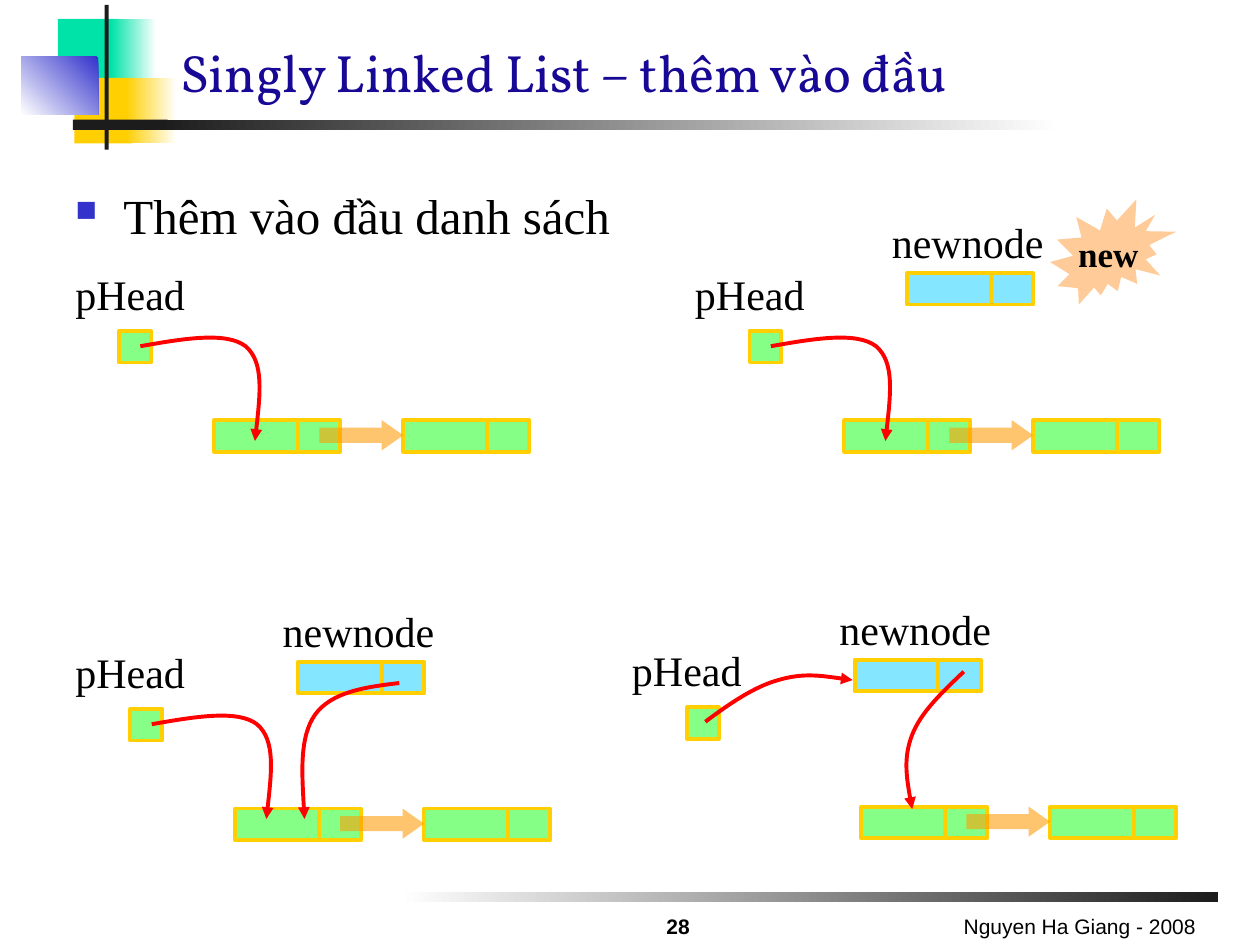
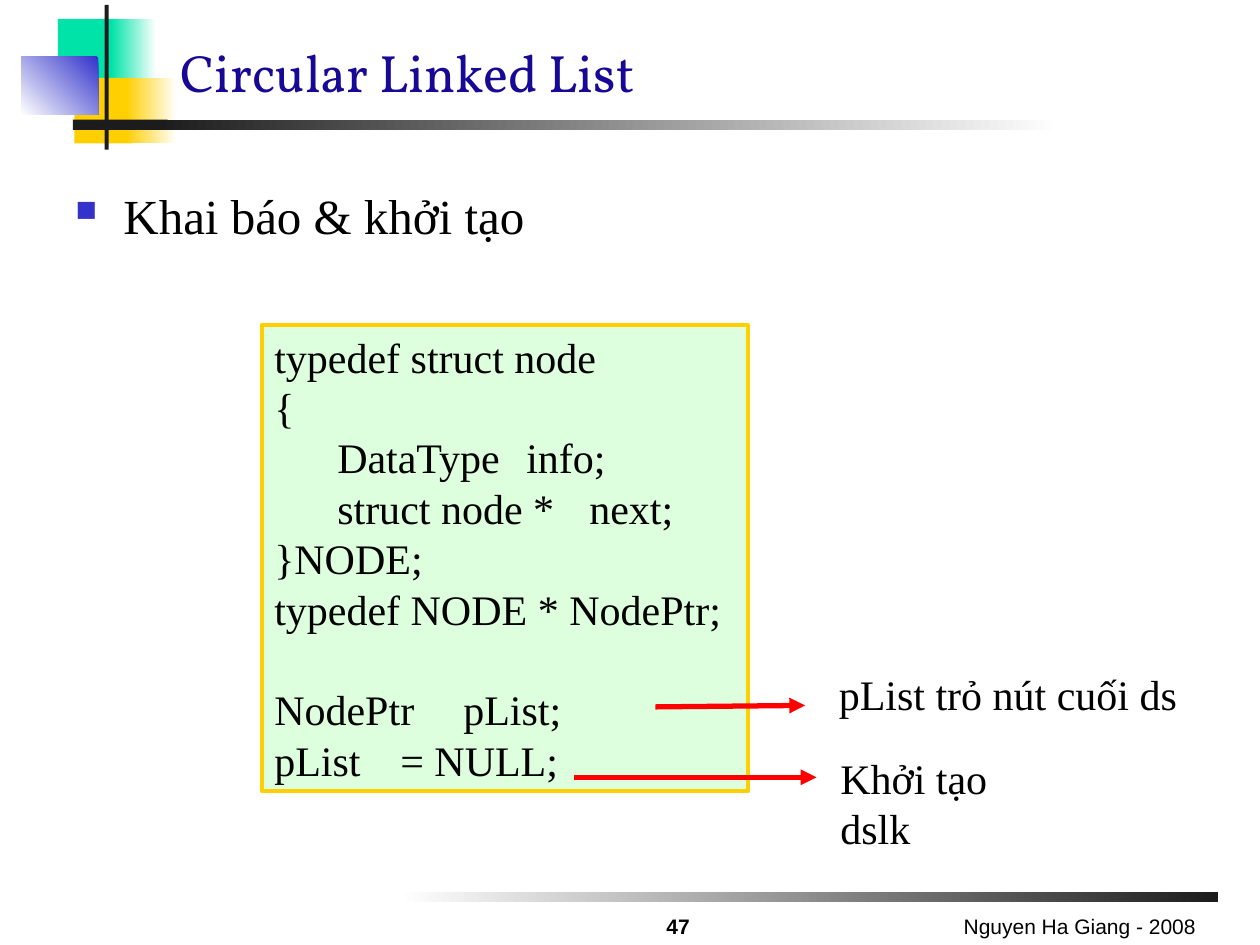
from itertools import pairwise
from pptx import Presentation
from pptx.dml.color import RGBColor
from pptx.enum.shapes import MSO_CONNECTOR, MSO_SHAPE
from pptx.enum.text import MSO_ANCHOR, MSO_AUTO_SIZE, PP_ALIGN
from pptx.oxml.ns import qn
from pptx.util import Cm, Pt
from lxml import etree

RECTANGLE = MSO_SHAPE.RECTANGLE
RIGHT_ARROW = MSO_SHAPE.RIGHT_ARROW
BURST = MSO_SHAPE.EXPLOSION2
STRAIGHT = MSO_CONNECTOR.STRAIGHT
TOP, MIDDLE, BOTTOM = MSO_ANCHOR.TOP, MSO_ANCHOR.MIDDLE, MSO_ANCHOR.BOTTOM
LEFT, CENTER, RIGHT = PP_ALIGN.LEFT, PP_ALIGN.CENTER, PP_ALIGN.RIGHT
FIT_SHAPE = MSO_AUTO_SIZE.SHAPE_TO_FIT_TEXT

BLACK = RGBColor(0x00, 0x00, 0x00)
WHITE = RGBColor(0xFF, 0xFF, 0xFF)
CHARCOAL = RGBColor(0x1C, 0x1C, 0x1C)
TEAL = RGBColor(0x00, 0xE3, 0xA8)
GOLD = RGBColor(0xFF, 0xCF, 0x01)
BLUE = RGBColor(0x33, 0x33, 0xCC)
NAVY = RGBColor(0x17, 0x09, 0x95)
GREEN = RGBColor(0x00, 0xFF, 0x00)
SKY = RGBColor(0x00, 0xCC, 0xFF)
ORANGE = RGBColor(0xFF, 0x99, 0x00)
PEACH = RGBColor(0xFF, 0xCC, 0x99)
MINT = RGBColor(0xCC, 0xFF, 0xCC)
RED = RGBColor(0xFF, 0x00, 0x00)

SERIF, SANS, TITLE_FONT = "Times New Roman", "Arial", "Vollkorn"
FOOTER = "Nguyen Ha Giang - 2008"

DECORATION = [
    ((8.05, 17.98, 16.51, 0.21), (WHITE, CHARCOAL), 0),
    ((1.17, 0.38, 1.22, 1.32), (TEAL,), 0),
    ((2.24, 0.38, 0.91, 1.32), (TEAL, WHITE), 0),
    ((1.5, 1.57, 1.17, 1.32), (GOLD,), 0),
    ((2.54, 1.57, 1.02, 1.32), (GOLD, WHITE), 0),
    ((0.43, 1.14, 1.55, 1.17), (BLUE, WHITE), 225),
    ((2.11, 0.1, 0.08, 2.92), (CHARCOAL,), 0),
    ((1.47, 2.41, 1.91, 0.21), (CHARCOAL,), 0),
    ((3.18, 2.41, 18.19, 0.21), (CHARCOAL, WHITE), 0),
]

DATA_WIDTH, LINK_WIDTH, NODE_HEIGHT = 1.69, 0.85, 0.64
NODE_STEP = 3.81
NEXT_ARROW_OFFSET, NEXT_ARROW_HEIGHT = 2.12, 0.61

HEAD_TO_FIRST = [(0.43, 0.31), (0.86, -0.15), (1.73, -0.3), (2.12, 0),
                 (2.5, 0.32), (2.4, 1.11), (2.31, 1.91)]
HEAD_TO_NEW = [(0.37, 0.29), (0.48, -0.36), (0.99, -0.71), (1.47, -0.84),
               (1.98, -0.99), (2.46, -0.91), (2.97, -0.84)]
NEW_TO_FIRST = [(2.04, 0.43), (-0.69, 0.08), (-1.37, 0.18), (-1.7, 0.64),
                (-2.01, 1.09), (-1.96, 1.91), (-1.91, 2.74)]
NEW_TO_FIRST_SHORT = [(2.2, 0.24), (-0.43, 0.41), (-0.86, 0.81), (-1.04, 1.27),
                      (-1.22, 1.73), (-1.14, 2.26), (-1.04, 2.77)]

SCENES = [
    dict(chain=(4.32, 8.47), head=(2.4, 6.67), label=(1.27, 5.29),
         head_curve=HEAD_TO_FIRST),
    dict(chain=(17.02, 8.47), head=(15.11, 6.67), label=(13.76, 5.29),
         head_curve=HEAD_TO_FIRST, new=(18.29, 5.5)),
    dict(chain=(4.74, 16.3), head=(2.63, 14.29), label=(1.27, 12.91),
         head_curve=HEAD_TO_FIRST, new=(6.01, 13.34), new_curve=NEW_TO_FIRST),
    dict(chain=(17.36, 16.26), head=(13.85, 14.26), label=(12.49, 12.87),
         head_curve=HEAD_TO_NEW, new=(17.23, 13.3), new_curve=NEW_TO_FIRST_SHORT),
]
BURST_BOX = (21.17, 4.02, 2.54, 2.12)

CODE_BOX = (5.28, 6.55, 9.8, 9.4)
CODE_BLOCKS = [
    """typedef struct node
{
\tDataType \tinfo;
\tstruct node * \tnext;
}NODE;
typedef NODE * NodePtr;""",
    """NodePtr \tpList;
pList\t= NULL;""",
]
CODE_LINE = 28.8
CODE_NOTES = [
    ("pList trỏ nút cuối ds", (16.66, 13.36, 7.32, 1.27), (13.21, 14.25, 16.23, 14.22)),
    ("Khởi tạo dslk", (16.69, 15.04, 5.05, 1.27), (11.58, 15.67, 16.46, 15.67)),
]


def lengths(values):
    return [Cm(value) for value in values]


def add_figure(slide, kind, box, colors, angle=0, opacity=100, outlined=False):
    shape = slide.shapes.add_shape(kind, *lengths(box))
    shape.shadow.inherit = False
    if len(colors) == 1:
        shape.fill.solid()
        shape.fill.fore_color.rgb = colors[0]
    else:
        shape.fill.gradient()
        shape.fill.gradient_angle = angle
        for stop, color in zip(shape.fill.gradient_stops, colors):
            stop.color.rgb = color
    if opacity < 100:
        color = shape.element.spPr.find(".//" + qn("a:srgbClr"))
        etree.SubElement(color, qn("a:alpha"), val=str(opacity * 1000))
    if outlined:
        shape.line.color.rgb = GOLD
        shape.line.width = Pt(2.25)
    else:
        shape.line.fill.background()
    return shape


def write(shape, text, size=24, font=SERIF, color=BLACK, bold=False,
          align=LEFT, anchor=TOP, wrap=True):
    frame = shape.text_frame
    frame.text = text
    frame.word_wrap = wrap
    frame.vertical_anchor = anchor
    for paragraph in frame.paragraphs:
        paragraph.alignment = align
        for run in paragraph.runs:
            run.font.size = Pt(size)
            run.font.name = font
            run.font.bold = bold
            run.font.color.rgb = color
    return frame


def add_text(slide, box, text, **style):
    return write(slide.shapes.add_textbox(*lengths(box)), text, **style)


def add_bullet(paragraph):
    properties = paragraph._p.get_or_add_pPr()
    properties.set("marL", str(Cm(0.97)))
    properties.set("indent", str(-Cm(0.97)))
    color = etree.SubElement(properties, qn("a:buClr"))
    etree.SubElement(color, qn("a:srgbClr"), val=str(BLUE))
    etree.SubElement(properties, qn("a:buSzPct"), val="60000")
    etree.SubElement(properties, qn("a:buChar"), char="■")


def make_red_arrow(shape, width):
    shape.line.color.rgb = RED
    shape.line.width = Pt(width)
    line = shape.element.spPr.find(qn("a:ln"))
    etree.SubElement(line, qn("a:tailEnd"), type="triangle")


def add_curve(slide, origin, curve):
    offset, *steps = curve
    start_x, start_y = origin[0] + offset[0], origin[1] + offset[1]
    builder = slide.shapes.build_freeform(Cm(start_x), Cm(start_y))
    builder.add_line_segments(
        [(Cm(start_x + x), Cm(start_y + y)) for x, y in steps], close=False)
    shape = builder.convert_to_shape()
    shape.shadow.inherit = False
    shape.fill.background()
    outline = next(shape.element.iter(qn("a:path")))
    segments = outline.findall(qn("a:lnTo"))
    for first in range(0, len(segments), 3):
        bezier = etree.SubElement(outline, qn("a:cubicBezTo"))
        for segment in segments[first:first + 3]:
            bezier.append(segment[0])
            outline.remove(segment)
    make_red_arrow(shape, 2.25)


def add_cell(slide, left, top, width, color):
    add_figure(slide, RECTANGLE, (left, top, width, NODE_HEIGHT), [color],
               opacity=48, outlined=True)


def add_node(slide, left, top, color):
    add_cell(slide, left, top, DATA_WIDTH, color)
    add_cell(slide, left + DATA_WIDTH, top, LINK_WIDTH, color)


def add_scene(slide, chain, head, label, head_curve, new=None, new_curve=None):
    left, top = chain
    nodes = [left, left + NODE_STEP]
    for node_left in nodes:
        add_node(slide, node_left, top, GREEN)
    for node_left, next_left in pairwise(nodes):
        arrow_left = node_left + NEXT_ARROW_OFFSET
        arrow = add_figure(slide, RIGHT_ARROW,
                           (arrow_left, top, next_left - arrow_left, NEXT_ARROW_HEIGHT),
                           [ORANGE], opacity=57)
        arrow.adjustments[1] = 0.71
    add_cell(slide, *head, NODE_HEIGHT, GREEN)
    add_text(slide, (*label, 2.72, 1.27), "pHead", wrap=False)
    if new:
        add_node(slide, *new, SKY)
        add_text(slide, (new[0] - 0.56, new[1] - 1.25, 3.56, 1.27), "newnode", wrap=False)
    add_curve(slide, head, head_curve)
    if new_curve:
        add_curve(slide, new, new_curve)


def add_slide(presentation, title, topic, number):
    slide = presentation.slides.add_slide(presentation.slide_layouts[6])
    for box, colors, angle in DECORATION:
        add_figure(slide, RECTANGLE, box, colors, angle)
    add_text(slide, (3.38, 0.51, 21.59, 1.7), title, size=30, font=TITLE_FONT,
             color=NAVY, anchor=BOTTOM)
    body = add_text(slide, (1.27, 3.61, 23.6, 14.17), topic, size=28)
    add_bullet(body.paragraphs[0])
    add_text(slide, (16.31, 18.21, 8.05, 0.84), FOOTER, size=12, font=SANS,
             align=RIGHT, anchor=BOTTOM)
    add_text(slide, (12.5, 18.36, 2.34, 0.69), str(number), size=12, font=SANS,
             bold=True, align=CENTER, anchor=BOTTOM)
    return slide


def add_insert_slide(presentation):
    slide = add_slide(presentation, "Singly Linked List – thêm vào đầu",
                      "Thêm vào đầu danh sách", 28)
    for scene in SCENES:
        add_scene(slide, **scene)
    burst = add_figure(slide, BURST, BURST_BOX, [PEACH])
    write(burst, "new", size=20, bold=True, align=CENTER, anchor=MIDDLE, wrap=False)


def add_circular_slide(presentation):
    slide = add_slide(presentation, "Circular Linked List", "Khai báo & khởi tạo", 47)
    code = add_figure(slide, RECTANGLE, CODE_BOX, [MINT], opacity=66, outlined=True)
    frame = write(code, "\n".join(CODE_BLOCKS), wrap=False)
    frame.auto_size = FIT_SHAPE
    second_block = len(CODE_BLOCKS[0].splitlines())
    frame.paragraphs[second_block].space_before = Pt(CODE_LINE)
    for note, box, ends in CODE_NOTES:
        add_text(slide, box, note)
        connector = slide.shapes.add_connector(STRAIGHT, *lengths(ends))
        make_red_arrow(connector, 3)
        etree.SubElement(connector.element.spPr, qn("a:effectLst"))


def main():
    presentation = Presentation()
    presentation.slide_width, presentation.slide_height = Cm(25.4), Cm(19.05)
    add_insert_slide(presentation)
    add_circular_slide(presentation)
    presentation.save("out.pptx")


if __name__ == "__main__":
    main()
